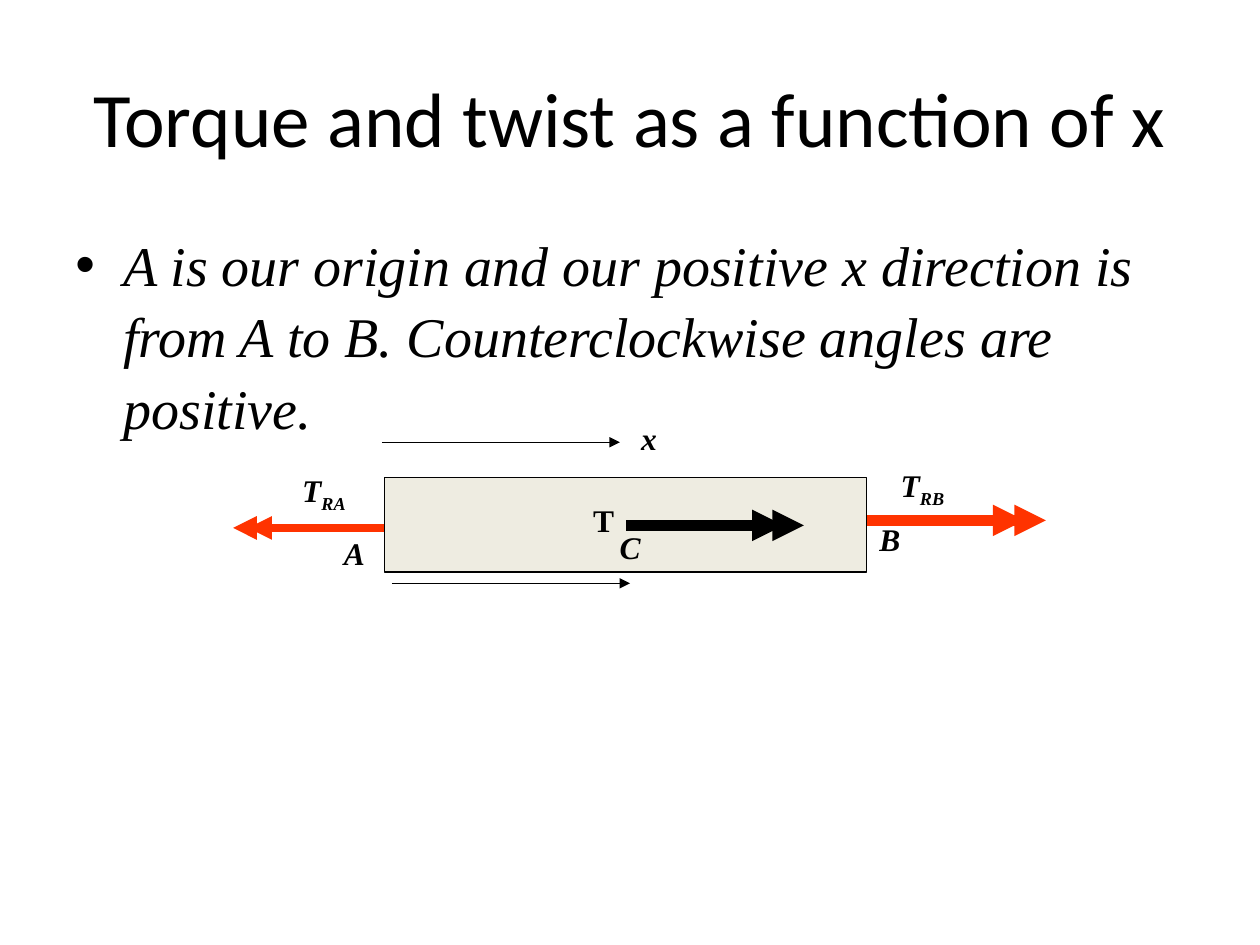
from dataclasses import dataclass

from lxml.etree import SubElement
from pptx import Presentation
from pptx.dml.color import RGBColor
from pptx.enum.shapes import MSO_CONNECTOR, MSO_SHAPE
from pptx.enum.text import MSO_ANCHOR, MSO_AUTO_SIZE, PP_ALIGN
from pptx.oxml.ns import qn
from pptx.util import Inches, Pt

COLORS = {"ink": "000000", "reaction": "FF3300", "bar": "EEECE1"}
SERIF = "Times New Roman"


@dataclass
class Arrow:
    start: float
    end: float
    y: float
    color: str
    weight: float


@dataclass
class Label:
    text: str
    left: float
    top: float
    width: float = 0.42
    subscript: str = ""
    italic: bool = True
    wrap: bool = True


def rgb(name: str) -> RGBColor:
    return RGBColor.from_string(COLORS[name])


def add_run(paragraph, text: str, size: float, font: str = SERIF,
            bold: bool = False, italic: bool = False):
    run = paragraph.add_run()
    run.text = text
    run.font.name = font
    run.font.size = Pt(size)
    run.font.bold = bold
    run.font.italic = italic
    run.font.color.rgb = rgb("ink")
    return run


def add_frame(slide, left: float, top: float, width: float, height: float):
    box = slide.shapes.add_textbox(Inches(left), Inches(top), Inches(width), Inches(height))
    box.text_frame.word_wrap = True
    return box.text_frame


def draw_arrow(slide, arrow: Arrow) -> None:
    line = slide.shapes.add_connector(
        MSO_CONNECTOR.STRAIGHT, Inches(arrow.start), Inches(arrow.y),
        Inches(arrow.end), Inches(arrow.y))
    line.line.color.rgb = rgb(arrow.color)
    line.line.width = Pt(arrow.weight)
    SubElement(line.line._get_or_add_ln(), qn("a:tailEnd"), type="triangle")
    SubElement(line._element.spPr, qn("a:effectLst"))


def draw_label(slide, label: Label) -> None:
    frame = add_frame(slide, label.left, label.top, label.width, 0.4)
    frame.word_wrap = label.wrap
    frame.auto_size = MSO_AUTO_SIZE.SHAPE_TO_FIT_TEXT
    paragraph = frame.paragraphs[0]
    add_run(paragraph, label.text, 18, bold=True, italic=label.italic)
    if label.subscript:
        subscript = add_run(paragraph, label.subscript, 18, bold=True, italic=label.italic)
        subscript.font._element.set("baseline", "-25000")


def draw_bar(slide) -> None:
    bar = slide.shapes.add_shape(
        MSO_SHAPE.RECTANGLE, Inches(3.05), Inches(3.79), Inches(3.83), Inches(0.75))
    bar.shadow.inherit = False
    bar.fill.solid()
    bar.fill.fore_color.rgb = rgb("bar")
    bar.line.color.rgb = rgb("ink")
    bar.line.width = Pt(0.75)


def draw_title(slide) -> None:
    frame = add_frame(slide, 0.5, 0.3, 9, 1.25)
    frame.vertical_anchor = MSO_ANCHOR.MIDDLE
    paragraph = frame.paragraphs[0]
    paragraph.alignment = PP_ALIGN.CENTER
    add_run(paragraph, "Torque and twist as a function of x", 44, font="Calibri")


def draw_convention(slide) -> None:
    paragraph = add_frame(slide, 0.5, 1.75, 9, 4.95).paragraphs[0]
    properties = paragraph._p.get_or_add_pPr()
    properties.set("marL", str(Inches(0.38)))
    properties.set("indent", str(Inches(-0.38)))
    SubElement(properties, qn("a:buFont"), typeface="Arial")
    SubElement(properties, qn("a:buChar"), char="•")
    paragraph.line_spacing = 1.06
    add_run(paragraph, "A is our origin and our positive x direction is from A to B. "
            "Counterclockwise angles are positive.", 32, italic=True)


REACTIONS_AT_BAR = [
    Arrow(6.88, 8.13, 4.13, "reaction", 6),
    Arrow(3.05, 1.97, 4.19, "reaction", 4.5),
]
ARROWS_OVER_BAR = [
    Arrow(5.13, 6.38, 4.17, "ink", 6),
    Arrow(4.97, 6.22, 4.17, "ink", 6),
    Arrow(2.93, 1.85, 4.19, "reaction", 4.5),
    Arrow(7.05, 8.3, 4.13, "reaction", 6),
    Arrow(3.11, 5, 4.63, "ink", 0.75),
    Arrow(3.03, 4.92, 3.51, "ink", 0.75),
]
LABELS = [
    Label("T", 7.05, 3.65, 0.67, subscript="RB"),
    Label("B", 6.88, 4.08),
    Label("T", 2.3, 3.69, 0.58, subscript="RA"),
    Label("A", 2.63, 4.19),
    Label("T", 4.61, 3.93, 0.37, italic=False, wrap=False),
    Label("C", 4.82, 4.14),
    Label("x", 4.99, 3.28),
]


def main() -> None:
    presentation = Presentation()
    presentation.slide_width = Inches(10)
    presentation.slide_height = Inches(7.5)
    slide = presentation.slides.add_slide(presentation.slide_layouts[6])
    draw_title(slide)
    draw_convention(slide)
    for arrow in REACTIONS_AT_BAR:
        draw_arrow(slide, arrow)
    draw_bar(slide)
    for arrow in ARROWS_OVER_BAR:
        draw_arrow(slide, arrow)
    for label in LABELS:
        draw_label(slide, label)
    presentation.save("out.pptx")


if __name__ == "__main__":
    main()
